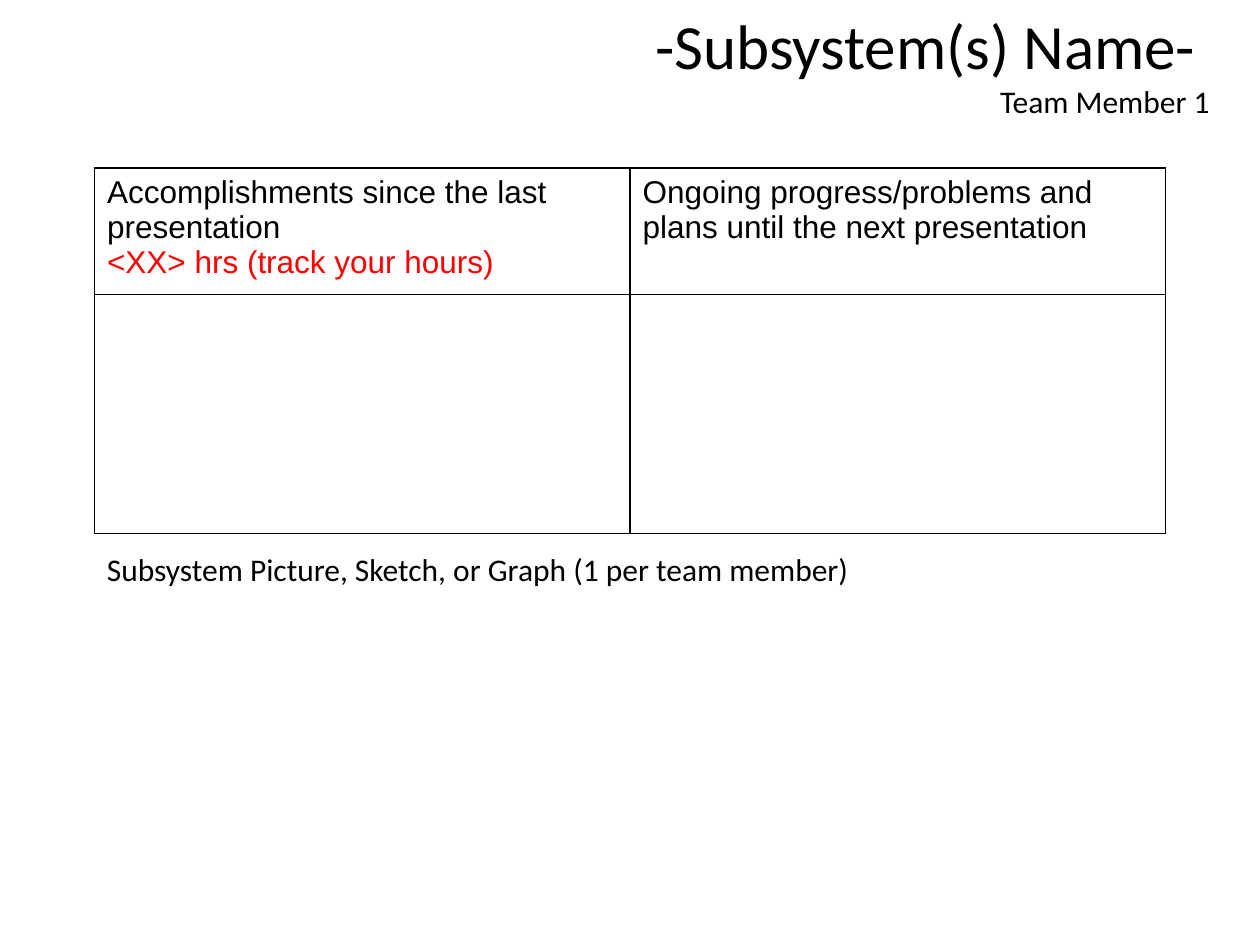
from lxml.etree import SubElement
from pptx import Presentation
from pptx.dml.color import RGBColor
from pptx.enum.text import PP_ALIGN as Align
from pptx.oxml.ns import qn
from pptx.util import Inches, Pt

BLACK, RED = "000000", "FF0000"
BODY_SIZE, TITLE_SIZE = 18, 36
LEFT, WIDTH = 0.075, 0.85


def rgb(hex_color):
    return RGBColor.from_string(hex_color)


class StatusSlide:
    """Style and current slide; lengths are shares of the slide's size."""

    text_font, table_font = "Calibri", "Arial"

    def __init__(self, deck):
        self.deck = deck
        self.slide = deck.slides.add_slide(deck.slide_layouts[6])

    def across(self, share):
        return round(self.deck.slide_width * share)

    def down(self, share):
        return round(self.deck.slide_height * share)

    def box(self, left, top, width, height):
        return (self.across(left), self.down(top),
                self.across(width), self.down(height))

    def run(self, paragraph, words, font, size=BODY_SIZE, color=BLACK):
        run = paragraph.add_run()
        run.text = words
        run.font.name, run.font.size = font, Pt(size)
        run.font.color.rgb = rgb(color)

    def text(self, place, lines, align=Align.LEFT):
        """Add a text box with one paragraph per (words, size) pair."""
        frame = self.slide.shapes.add_textbox(*self.box(*place)).text_frame
        frame.word_wrap = True
        for index, (words, size) in enumerate(lines):
            paragraph = frame.add_paragraph() if index else frame.paragraphs[0]
            paragraph.alignment = align
            self.run(paragraph, words, self.text_font, size)

    def border(self, cell, color=BLACK, width=1):
        properties = cell._tc.get_or_add_tcPr()
        for side in ("lnL", "lnR", "lnT", "lnB"):
            line = SubElement(properties, qn(f"a:{side}"), w=str(Pt(width)))
            fill = SubElement(line, qn("a:solidFill"))
            SubElement(fill, qn("a:srgbClr"), val=color)

    def table(self, left, top, width, row_heights, headings):
        """Add a bordered table; each heading is a list of (words, color) lines."""
        place = self.box(left, top, width, sum(row_heights))
        table = self.slide.shapes.add_table(
            len(row_heights), len(headings), *place).table
        table.first_row = table.horz_banding = False
        for row, height in zip(table.rows, row_heights):
            row.height = self.down(height)
        for cell in table.iter_cells():
            self.border(cell)
            cell.fill.background()
        for column, heading in enumerate(headings):
            paragraph = table.cell(0, column).text_frame.paragraphs[0]
            for index, (words, color) in enumerate(heading):
                if index:
                    paragraph.add_line_break()
                self.run(paragraph, words, self.table_font, color=color)


def main():
    deck = Presentation()
    deck.slide_width, deck.slide_height = Inches(10), Inches(7.5)
    status = StatusSlide(deck)

    status.text((0.24, 0, 0.73, 0.13),
                [("-Subsystem(s) Name- ", TITLE_SIZE),
                 ("Team Member 1", BODY_SIZE)],
                Align.RIGHT)
    accomplishments = [("Accomplishments since the last presentation", BLACK),
                       ("<XX> hrs (track your hours)", RED)]
    plans = [("Ongoing progress/problems and plans until the next presentation",
              BLACK)]
    status.table(LEFT, 0.178, WIDTH, (0.133, 0.253), (accomplishments, plans))
    status.text((LEFT, 0.575, WIDTH, 0.335),
                [("Subsystem Picture, Sketch, or Graph (1 per team member)",
                  BODY_SIZE)])

    deck.save("out.pptx")


if __name__ == "__main__":
    main()
